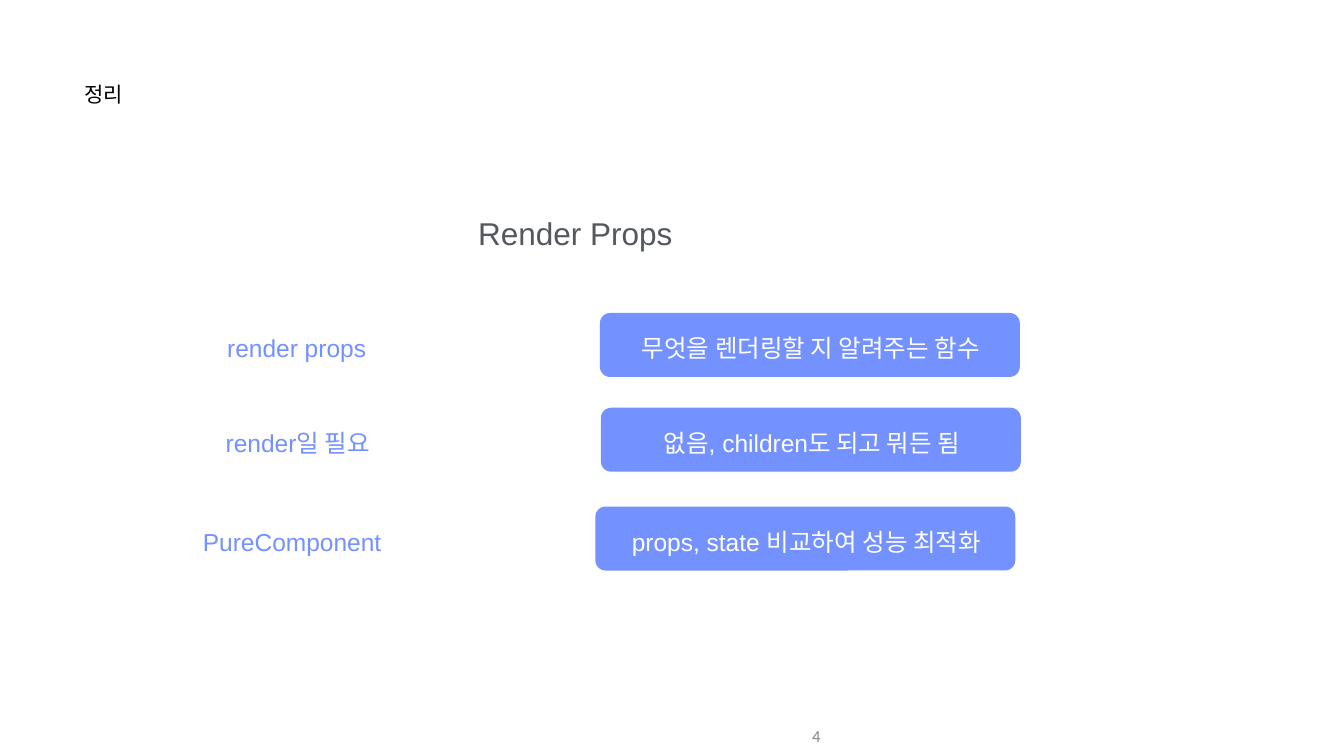
from pptx import Presentation
from pptx.dml.color import RGBColor
from pptx.enum.shapes import MSO_SHAPE
from pptx.enum.text import MSO_ANCHOR, MSO_AUTO_SIZE, PP_ALIGN
from pptx.util import Pt

ROUNDED = MSO_SHAPE.ROUNDED_RECTANGLE
TOP, MIDDLE = MSO_ANCHOR.TOP, MSO_ANCHOR.MIDDLE
LEFT, CENTER, RIGHT = PP_ALIGN.LEFT, PP_ALIGN.CENTER, PP_ALIGN.RIGHT
NO_FIT = MSO_AUTO_SIZE.NONE
PX = 9144
COLORS = {"title": "000000", "heading": "53585F", "accent": "7391FF",
          "card_text": "FFFFFF", "number": "888888"}


def box(*px):
    return [v * PX for v in px]


def write(sp, text, size, color, align=CENTER, anchor=MIDDLE, font="Arial", inset=1):
    tf = sp.text_frame
    tf.word_wrap = True
    tf.auto_size = NO_FIT
    tf.vertical_anchor = anchor
    tf.margin_left = tf.margin_right = tf.margin_top = tf.margin_bottom = inset * PX
    p = tf.paragraphs[0]
    p.alignment = align
    r = p.add_run()
    r.text = text
    r.font.size = Pt(size)
    r.font.name = font
    r.font.color.rgb = RGBColor.from_string(COLORS[color])


prs = Presentation()
prs.slide_width, prs.slide_height = box(2666, 1500)
s = prs.slides.add_slide(prs.slide_layouts[5])

title = s.shapes.title
title.left, title.top, title.width, title.height = box(167, 160, 486, 118)
write(title, "정리", 30, "title", LEFT, TOP)

heading = s.shapes.add_textbox(*box(264, 424, 1754, 79))
write(heading, "Render Props", 45, "heading", anchor=TOP)

number = s.shapes.add_textbox(*box(1033, 1421, 600, 79))
write(number, "4", 24, "number", RIGHT, font="Calibri", inset=5)

rows = [
    (274, 621, "render props", "무엇을 렌더링할 지 알려주는 함수"),
    (276, 809, "render일 필요", "없음, children도 되고 뭐든 됨"),
    (265, 1005, "PureComponent", "props, state 비교하여 성능 최적화"),
]
for x, y, term, meaning in rows:
    card = s.shapes.add_shape(ROUNDED, *box(x + 916, y, 833, 127))
    card.adjustments[0] = 0.16
    card.shadow.inherit = False
    card.fill.solid()
    card.fill.fore_color.rgb = RGBColor.from_string(COLORS["accent"])
    card.line.fill.background()

    label = s.shapes.add_textbox(*box(x + 2, y + 38, 625, 62))
    write(label, term, 35, "accent")
    caption = s.shapes.add_textbox(*box(x + 918, y + 38, 833, 62))
    write(caption, meaning, 35, "card_text")

prs.save("out.pptx")
